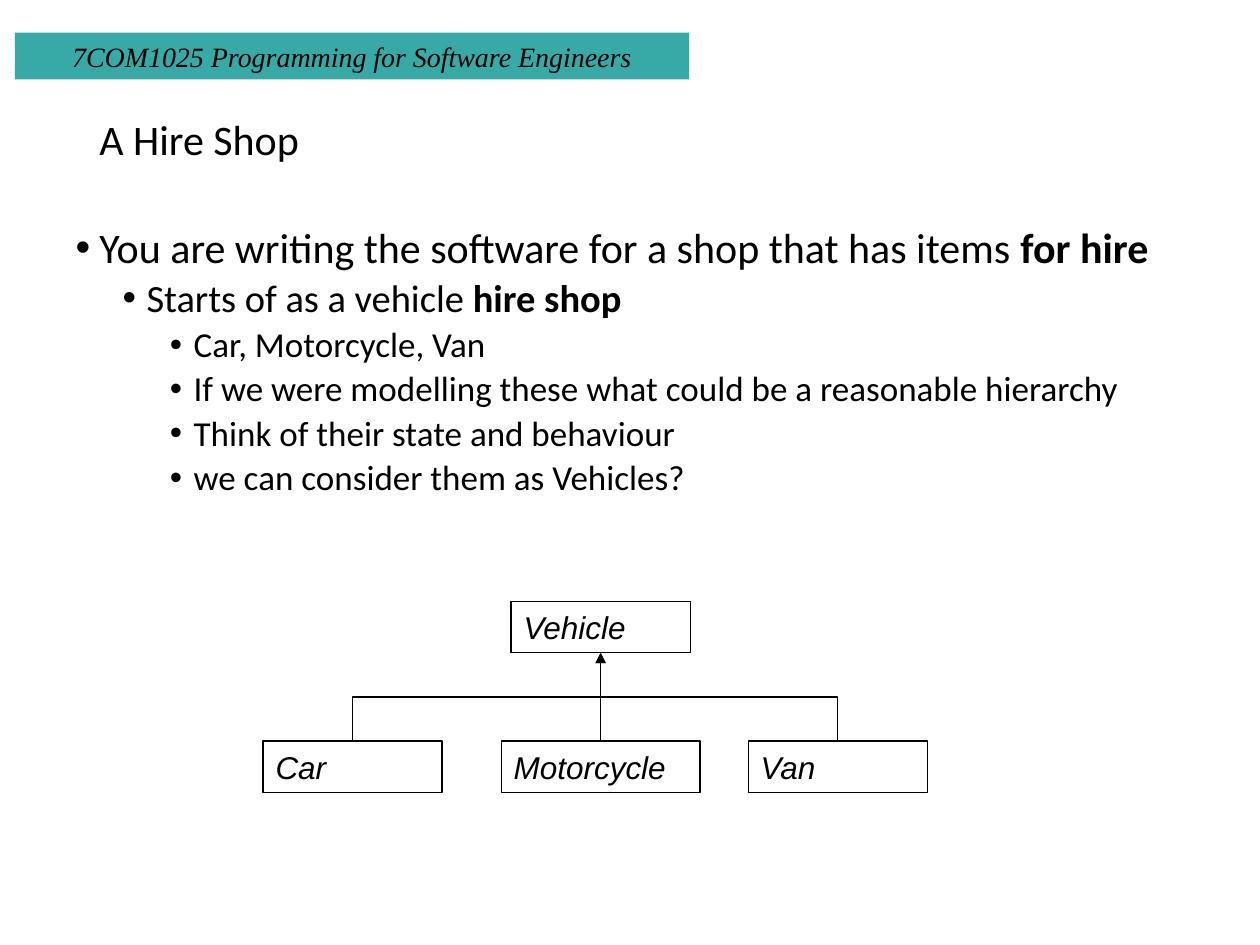
from lxml import etree
from pptx import Presentation
from pptx import util as u
from pptx.dml.color import RGBColor
from pptx.enum import shapes, text
from pptx.oxml.ns import qn

BLACK = RGBColor(0x00, 0x00, 0x00)
TEAL = RGBColor(0x37, 0xAA, 0xA7)

BULLETS = [
    (0, [("You are writing the software for a shop that has items ", False), ("for hire", True)]),
    (1, [("Starts of as a vehicle ", False), ("hire shop", True)]),
    (2, [("Car, Motorcycle, Van", False)]),
    (2, [("If we were modelling these what could be a reasonable hierarchy", False)]),
    (2, [("Think of their state and behaviour", False)]),
    (2, [("we can consider them as Vehicles?", False)]),
]
LEVEL_SIZES = (24, 22, 20)
HANGING = 0.48
LEVEL_STEP = 0.95

BOX_WIDTH, BOX_HEIGHT = 3.61, 1.04
PARENT_X, PARENT_TOP = 12.11, 12.12
CHILD_TOP = 14.94
PARENT_BOTTOM = PARENT_TOP + BOX_HEIGHT
CHILDREN = [("Motorcycle", PARENT_X, 4.01), ("Van", 16.89, BOX_WIDTH), ("Car", 7.11, BOX_WIDTH)]


def add_run(paragraph, wording, size, font, bold=False, italic=False):
    """Append one formatted black run to a paragraph."""
    run = paragraph.add_run()
    run.text = wording
    run.font.size = u.Pt(size)
    run.font.name = font
    run.font.bold = bold
    run.font.italic = italic
    run.font.color.rgb = BLACK


def place(shape, left, top, width, height):
    """Move and size a shape in centimetres."""
    shape.left, shape.top = u.Cm(left), u.Cm(top)
    shape.width, shape.height = u.Cm(width), u.Cm(height)


def add_box(slide, wording, left, top, width, height, size, font, align, fill=None):
    """Add a rectangle with italic text, either filled or outlined."""
    box = slide.shapes.add_shape(shapes.MSO_SHAPE.RECTANGLE, *map(u.Cm, (left, top, width, height)))
    box.shadow.inherit = False
    if fill is None:
        box.fill.background()
        box.line.color.rgb = BLACK
        box.line.width = u.Pt(0.75)
    else:
        box.fill.solid()
        box.fill.fore_color.rgb = fill
        box.line.fill.background()
    box.text_frame.word_wrap = True
    paragraph = box.text_frame.paragraphs[0]
    paragraph.alignment = align
    add_run(paragraph, wording, size, font, italic=True)


def add_class(slide, wording, center, top, width=BOX_WIDTH):
    """Add a class box centred on a horizontal position."""
    add_box(slide, wording, center - width / 2, top, width, BOX_HEIGHT,
            18, "Arial", text.PP_ALIGN.LEFT)


def add_link(slide, kind, *ends):
    """Add a thin black connector without a shadow."""
    link = slide.shapes.add_connector(kind, *map(u.Cm, ends))
    link.line.color.rgb = BLACK
    link.line.width = u.Pt(0.75)
    etree.SubElement(link._element.spPr, qn("a:effectLst"))
    return link


def add_inheritance(slide, child_x):
    """Add an elbow arrow that rises from a child to the parent."""
    side = 1 if child_x > PARENT_X else -1
    middle_x = (child_x + PARENT_X) / 2
    middle_y = (CHILD_TOP + PARENT_BOTTOM) / 2
    half_rise = side * (CHILD_TOP - PARENT_BOTTOM) / 2
    half_span = abs(child_x - PARENT_X) / 2
    arrow = add_link(slide, shapes.MSO_CONNECTOR.ELBOW,
                     middle_x + half_rise, middle_y - half_span,
                     middle_x - half_rise, middle_y + half_span)
    properties = arrow._element.spPr
    properties.find(qn("a:xfrm")).set("rot", str(side * 90 % 360 * 60000))
    etree.SubElement(properties.find(qn("a:ln")), qn("a:tailEnd"), type="triangle")


def fill_title(title, wording):
    """Write the left-aligned slide title."""
    place(title, 1.75, 1.02, 21.9, 3.68)
    title.text_frame.vertical_anchor = text.MSO_ANCHOR.MIDDLE
    paragraph = title.text_frame.paragraphs[0]
    paragraph.alignment = text.PP_ALIGN.LEFT
    paragraph.line_spacing = 0.9
    add_run(paragraph, wording, 24, "Calibri")


def fill_body(body):
    """Write the nested bullet list."""
    place(body, 1.27, 4.45, 22.86, 7.09)
    frame = body.text_frame
    frame.auto_size = text.MSO_AUTO_SIZE.NONE
    for index, (level, pieces) in enumerate(BULLETS):
        paragraph = frame.add_paragraph() if index else frame.paragraphs[0]
        paragraph.level = level
        paragraph.line_spacing = 0.9
        paragraph.space_before = u.Pt(3.8 if level else 7.5)
        properties = paragraph._p.get_or_add_pPr()
        properties.set("marL", str(u.Cm(HANGING + level * LEVEL_STEP)))
        properties.set("indent", str(-u.Cm(HANGING)))
        etree.SubElement(properties, qn("a:buFont"), typeface="Arial")
        etree.SubElement(properties, qn("a:buChar"), char="•")
        for wording, bold in pieces:
            add_run(paragraph, wording, LEVEL_SIZES[level], "Calibri", bold)


def main():
    """Build the slide and save it."""
    deck = Presentation()
    deck.slide_width, deck.slide_height = u.Cm(25.4), u.Cm(19.05)
    slide = deck.slides.add_slide(deck.slide_layouts[1])
    add_box(slide, "7COM1025 Programming for Software Engineers", 0.3, 0.66, 13.59, 0.94,
            16, "Times New Roman", text.PP_ALIGN.CENTER, TEAL)
    fill_title(slide.shapes.title, "A Hire Shop")
    fill_body(slide.placeholders[1])
    add_class(slide, "Vehicle", PARENT_X, PARENT_TOP)
    for wording, center, width in CHILDREN:
        add_class(slide, wording, center, CHILD_TOP, width)
        if center == PARENT_X:
            add_link(slide, shapes.MSO_CONNECTOR.STRAIGHT, center, CHILD_TOP, center, 13.72)
        else:
            add_inheritance(slide, center)
    deck.save("out.pptx")


if __name__ == "__main__":
    main()
